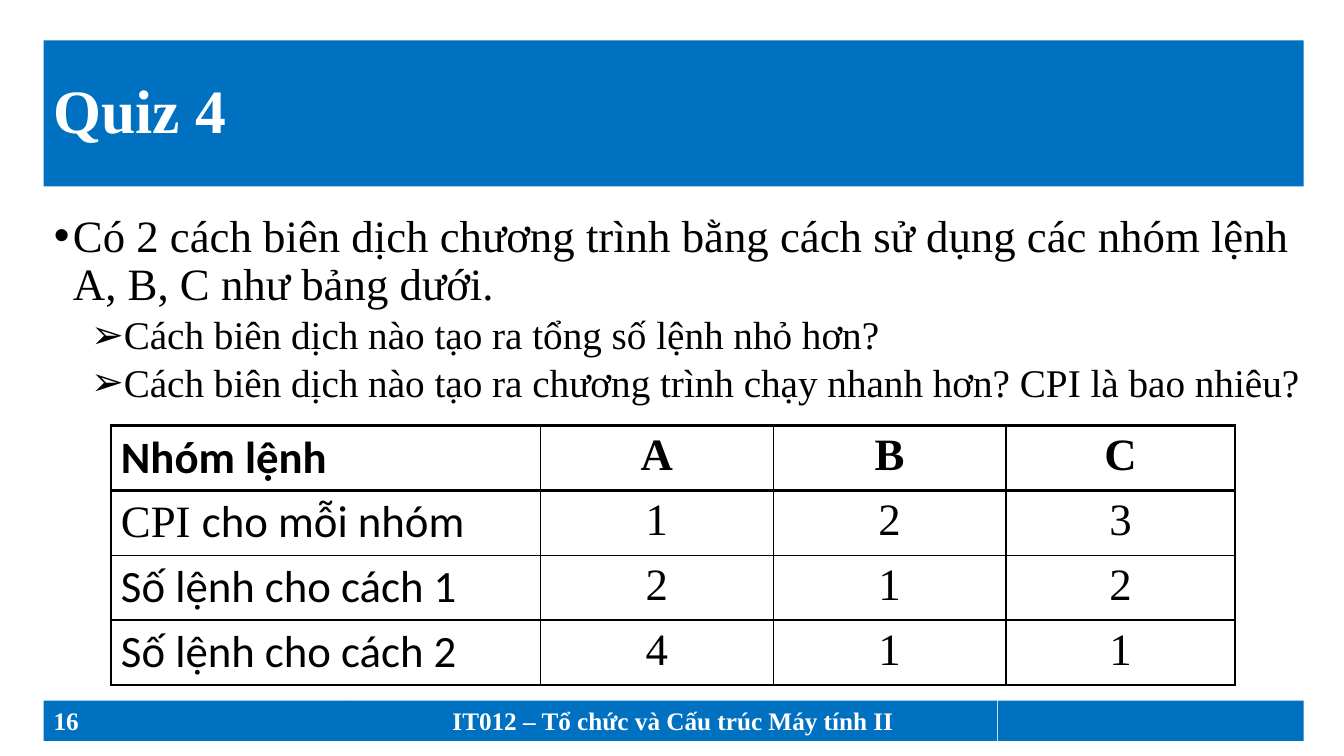
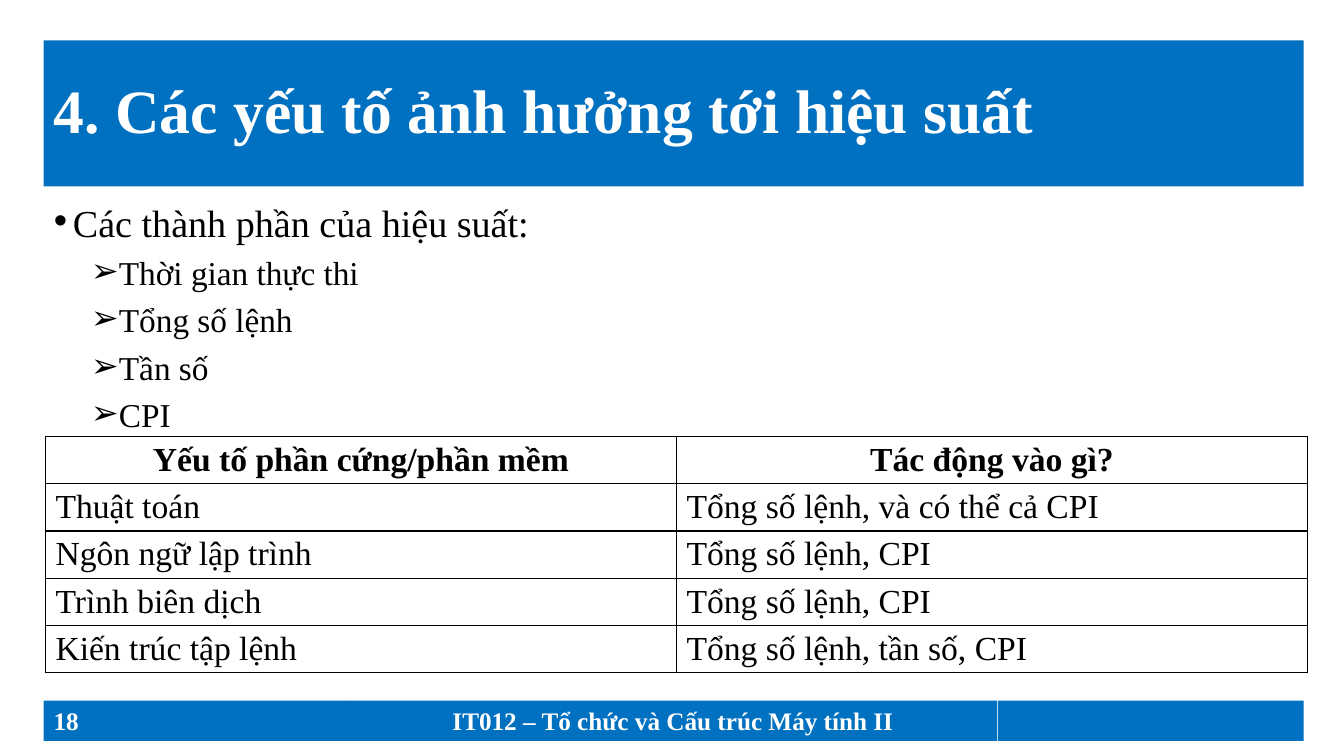
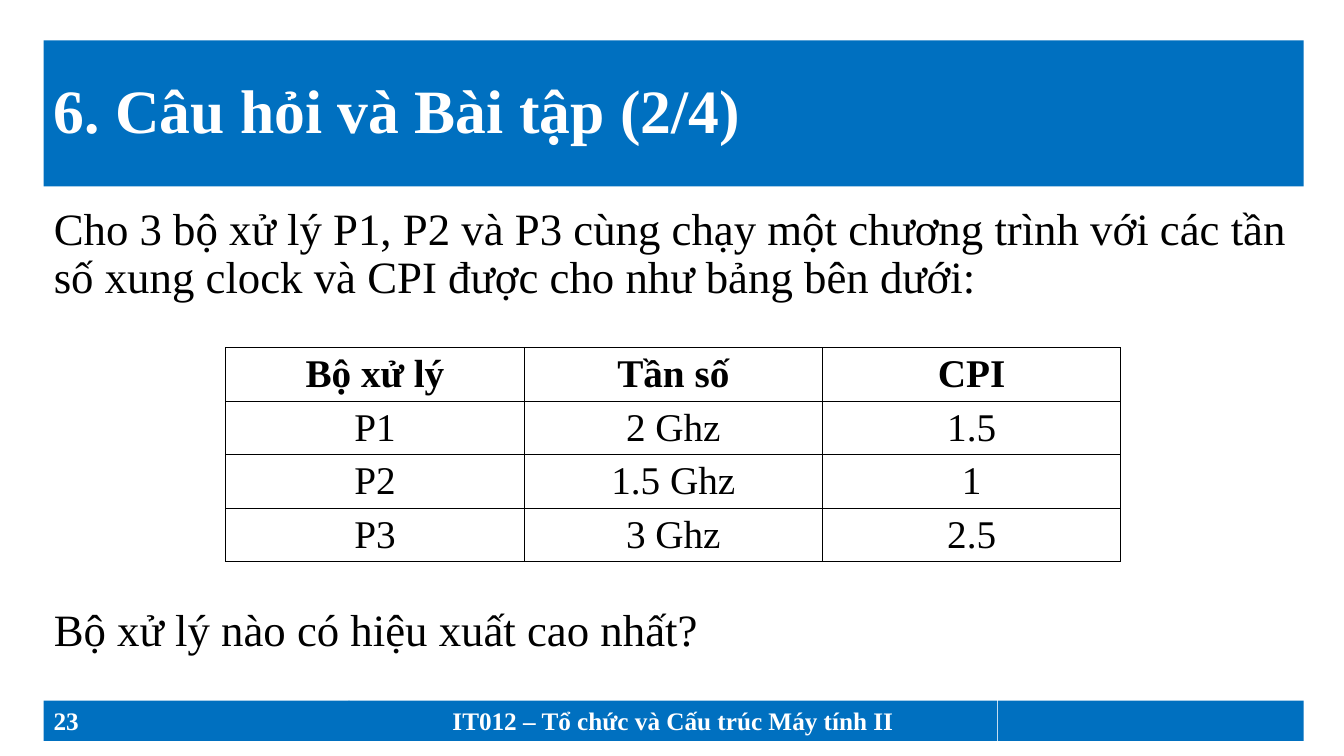
from dataclasses import dataclass

from lxml import etree
from pptx import Presentation
from pptx.dml.color import RGBColor
from pptx.enum.shapes import MSO_SHAPE
from pptx.enum.text import MSO_ANCHOR, MSO_AUTO_SIZE, PP_ALIGN
from pptx.oxml.ns import qn
from pptx.util import Inches, Pt

RECTANGLE = MSO_SHAPE.RECTANGLE
MIDDLE = MSO_ANCHOR.MIDDLE
TOP = MSO_ANCHOR.TOP
NO_AUTOFIT = MSO_AUTO_SIZE.NONE
LEFT = PP_ALIGN.LEFT
CENTER = PP_ALIGN.CENTER
JUSTIFY = PP_ALIGN.JUSTIFY

COURSE = "IT012 – Tổ chức và Cấu trúc Máy tính II"


@dataclass(frozen=True)
class Theme:
    band: RGBColor = RGBColor(0x00, 0x70, 0xC0)
    on_band: RGBColor = RGBColor(0xFF, 0xFF, 0xFF)
    ink: RGBColor = RGBColor(0x00, 0x00, 0x00)
    serif: str = "Times New Roman"
    sans: str = "Calibri"
    title: float = 44
    footer: float = 18
    body: tuple = (32, 28)
    compact_body: tuple = (27.2, 23.8)
    large_cell: float = 32
    medium_cell: float = 28
    small_cell: float = 24
    thin: float = 1
    thick: float = 2.25


THEME = Theme()


@dataclass(frozen=True)
class Item:
    text: str
    level: int = 0
    bullet: str = ""
    before: float = 7.5


def point(text):
    return Item(text, 0, "•")


def subpoint(text):
    return Item(text, 1, "➢", 3.8)


class Deck:
    def __init__(self, theme):
        self.theme = theme
        self.file = Presentation()
        self.file.slide_width = Inches(13.333)
        self.file.slide_height = Inches(7.5)
        self.slide = None

    def across(self, percent):
        return round(self.file.slide_width * percent / 100)

    def down(self, percent):
        return round(self.file.slide_height * percent / 100)

    def area(self, left, top, width, height):
        return self.across(left), self.down(top), self.across(width), self.down(height)

    def place(self, element, box):
        element.left, element.top, element.width, element.height = self.area(*box)

    def style(self, font, size, color, bold=False, face=None):
        font.name = face or self.theme.serif
        font.size = Pt(size)
        font.bold = bold
        font.color.rgb = color

    def paint(self, band):
        band.fill.solid()
        band.fill.fore_color.rgb = self.theme.band
        band.line.fill.background()

    def start(self, heading, number):
        self.slide = self.file.slides.add_slide(self.file.slide_layouts[1])
        title = self.slide.shapes.title
        self.place(title, (3.25, 5.33, 93.75, 19.33))
        self.paint(title)
        frame = title.text_frame
        frame.text = heading
        frame.auto_size = NO_AUTOFIT
        frame.vertical_anchor = MIDDLE
        line = frame.paragraphs[0]
        line.alignment = LEFT
        line.line_spacing = 0.9
        self.style(line.font, self.theme.title, self.theme.on_band, True)
        self.footer(COURSE, 25.95, 48.25, CENTER)
        self.footer("", 74.25, 22.75, LEFT)
        self.footer(str(number), 3.25, 22.75, LEFT)

    def footer(self, label, left, width, align):
        band = self.slide.shapes.add_shape(RECTANGLE, *self.area(left, 92.67, width, 5.33))
        band.shadow.inherit = False
        self.paint(band)
        if label:
            frame = band.text_frame
            frame.text = label
            frame.vertical_anchor = MIDDLE
            line = frame.paragraphs[0]
            line.alignment = align
            self.style(line.font, self.theme.footer, self.theme.on_band, True)

    def body(self, box, items, sizes, spacing=0.9, after=0, align=LEFT):
        content = self.slide.placeholders[1]
        self.place(content, box)
        frame = content.text_frame
        frame.auto_size = NO_AUTOFIT
        frame.vertical_anchor = TOP
        frame.text = "\n".join(item.text for item in items)
        for line, item in zip(frame.paragraphs, items):
            line.level = item.level
            line.alignment = align
            line.line_spacing = spacing
            line.space_before = Pt(item.before)
            line.space_after = Pt(after)
            self.bullet(line, item)
            self.style(line.font, sizes[item.level], self.theme.ink)

    def bullet(self, line, item):
        props = line._p.get_or_add_pPr()
        hang = Inches(0.19) if item.bullet else 0
        props.set("marL", str(hang + Inches(0.37) * item.level))
        props.set("indent", str(-hang))
        if item.bullet:
            etree.SubElement(props, qn("a:buChar")).set("char", item.bullet)
        else:
            etree.SubElement(props, qn("a:buNone"))

    def table(self, left, top, widths, row_height, rows, size, aligns, framed=False):
        grid = self.slide.shapes.add_table(
            len(rows), len(widths),
            *self.area(left, top, sum(widths), row_height * len(rows)),
        ).table
        grid.first_row = grid.horz_banding = False
        for column, width in zip(grid.columns, widths):
            column.width = self.across(width)
        heavy = self.theme.thick if framed else self.theme.thin
        for r, row in enumerate(rows):
            grid.rows[r].height = self.down(row_height)
            for c, content in enumerate(row):
                cell = grid.cell(r, c)
                cell.fill.background()
                align = aligns[0] if r == 0 else aligns[1]
                self.fill_cell(cell, content, size, r == 0, align[c])
                edges = {
                    "lnL": c == 0,
                    "lnR": c == len(widths) - 1,
                    "lnT": r <= 1,
                    "lnB": r in (0, len(rows) - 1),
                }
                self.borders(cell, {
                    side: heavy if outer else self.theme.thin
                    for side, outer in edges.items()
                })

    def fill_cell(self, cell, content, size, bold, align):
        line = cell.text_frame.paragraphs[0]
        line.alignment = align
        if isinstance(content, str):
            content = ((content, self.theme.serif),)
        for text, face in content:
            run = line.add_run()
            run.text = text
            self.style(run.font, size, self.theme.ink, bold, face)

    def borders(self, cell, weights):
        props = cell._tc.get_or_add_tcPr()
        for position, (side, weight) in enumerate(weights.items()):
            edge = etree.Element(qn(f"a:{side}"), w=str(Pt(weight)))
            fill = etree.SubElement(edge, qn("a:solidFill"))
            etree.SubElement(fill, qn("a:srgbClr")).set("val", str(self.theme.ink))
            props.insert(position, edge)


def compile_quiz(deck):
    theme = deck.theme
    deck.start("Quiz 4", 16)
    deck.body((3.25, 27.6, 94.9, 31.33), [
        point("Có 2 cách biên dịch chương trình bằng cách sử dụng các nhóm lệnh "
              "A, B, C như bảng dưới."),
        subpoint("Cách biên dịch nào tạo ra tổng số lệnh nhỏ hơn?"),
        subpoint("Cách biên dịch nào tạo ra chương trình chạy nhanh hơn? CPI là bao nhiêu?"),
    ], theme.body)
    aligns = (LEFT, CENTER, CENTER, CENTER)
    deck.table(8.25, 56.27, (31.95, 17.33, 17.33, 17.03), 8.57, [
        ((("Nhóm lệnh", theme.sans),), "A", "B", "C"),
        ((("CPI ", theme.serif), ("cho mỗi nhóm", theme.sans)), "1", "2", "3"),
        ((("Số lệnh cho cách 1", theme.sans),), "2", "1", "2"),
        ((("Số lệnh cho cách 2", theme.sans),), "4", "1", "1"),
    ], theme.large_cell, (aligns, aligns), framed=True)


def performance_factors(deck):
    theme = deck.theme
    deck.start("4. Các yếu tố ảnh hưởng tới hiệu suất", 18)
    deck.body((3.25, 27.33, 93.9, 33.73), [
        point("Các thành phần của hiệu suất:"),
        *map(subpoint, ("Thời gian thực thi", "Tổng số lệnh", "Tần số", "CPI")),
    ], theme.compact_body, spacing=0.7, after=10, align=JUSTIFY)
    deck.table(3.38, 57.73, (46.95, 46.95), 6.25, [
        ("Yếu tố phần cứng/phần mềm", "Tác động vào gì?"),
        ("Thuật toán", "Tổng số lệnh, và có thể cả CPI"),
        ("Ngôn ngữ lập trình", "Tổng số lệnh, CPI"),
        ("Trình biên dịch", "Tổng số lệnh, CPI"),
        ("Kiến trúc tập lệnh", "Tổng số lệnh, tần số, CPI"),
    ], theme.small_cell, ((CENTER,) * 2, (LEFT,) * 2))


def processor_exercise(deck):
    theme = deck.theme
    deck.start("6. Câu hỏi và Bài tập (2/4)", 23)
    deck.body((3.25, 26.67, 93.75, 63.47), [
        Item("Cho 3 bộ xử lý P1, P2 và P3 cùng chạy một chương trình với các tần "
             "số xung clock và CPI được cho như bảng bên dưới:"),
        Item("Bộ xử lý nào có hiệu xuất cao nhất?", before=217),
    ], theme.body)
    deck.table(16.8, 46, (22.2,) * 3, 7.08, [
        ("Bộ xử lý", "Tần số", "CPI"),
        ("P1", "2 Ghz", "1.5"),
        ("P2", "1.5 Ghz", "1"),
        ("P3", "3 Ghz", "2.5"),
    ], theme.medium_cell, ((CENTER,) * 3,) * 2)


def main():
    deck = Deck(THEME)
    for build in (compile_quiz, performance_factors, processor_exercise):
        build(deck)
    deck.file.save("out.pptx")


if __name__ == "__main__":
    main()
